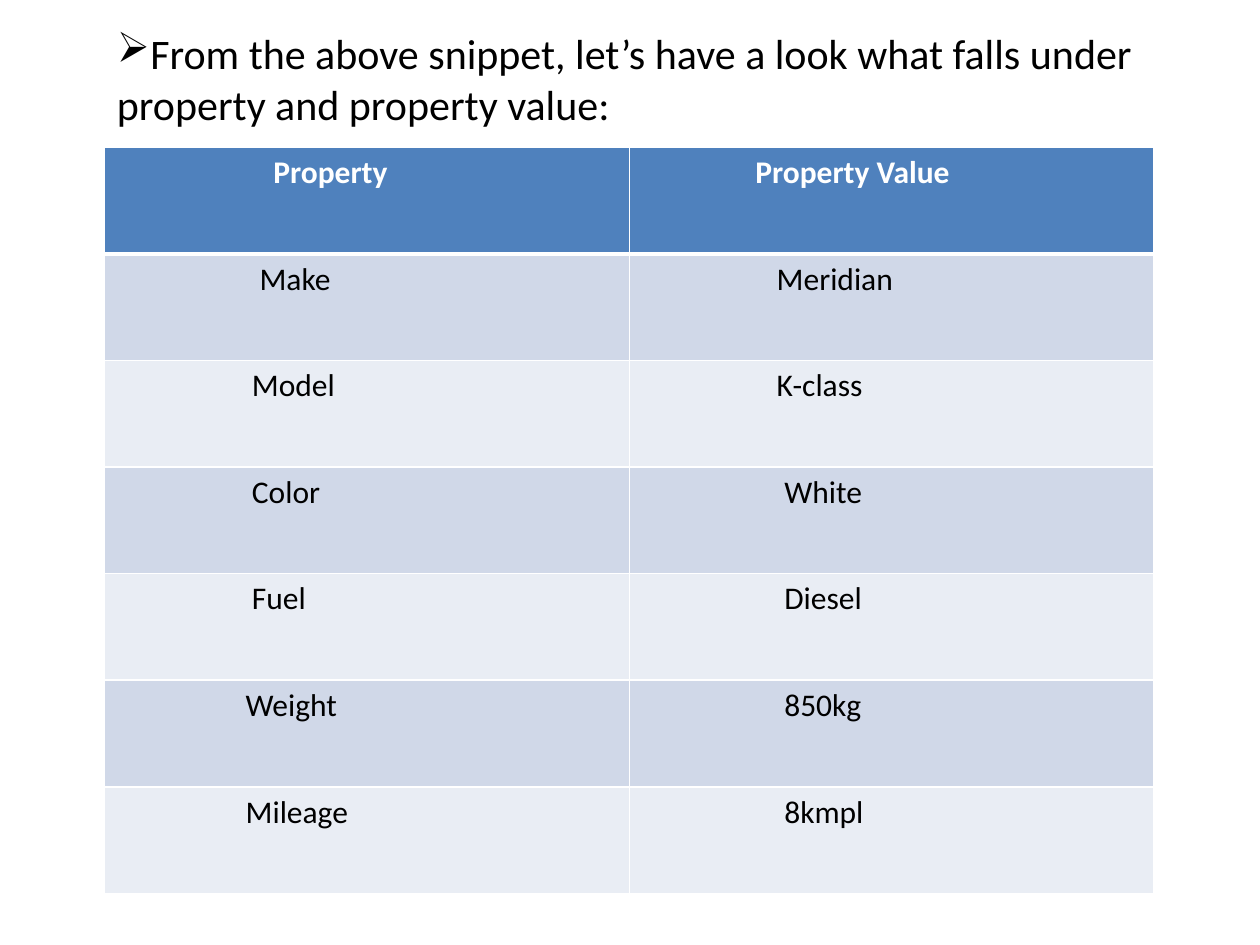
from lxml.etree import SubElement
from pptx import Presentation
from pptx.dml.color import RGBColor
from pptx.enum.text import MSO_AUTO_SIZE as AutoSize
from pptx.oxml.ns import qn
from pptx.util import Inches, Pt


def style_font(font, size, color, bold=False):
    font.name = "Calibri"
    font.size = Pt(size)
    font.bold = bold
    font.color.rgb = RGBColor.from_string(color)


def add_border(cell, side, width):
    line = SubElement(cell._tc.get_or_add_tcPr(), qn(f"a:{side}"), w=str(Pt(width)))
    fill = SubElement(line, qn("a:solidFill"))
    SubElement(fill, qn("a:srgbClr"), val="FFFFFF")


prs = Presentation()
prs.slide_width = Inches(10)
prs.slide_height = Inches(7.5)
slide = prs.slides.add_slide(prs.slide_layouts[6])

rows = [
    (("Property", 1.34), ("Property Value", 1.0)),
    (("Make", 1.23), ("Meridian", 1.17)),
    (("Model", 1.17), ("K-class", 1.17)),
    (("Color", 1.17), ("White", 1.23)),
    (("Fuel", 1.17), ("Diesel", 1.23)),
    (("Weight", 1.12), ("850kg", 1.23)),
    (("Mileage", 1.12), ("8kmpl", 1.23)),
]
properties = slide.shapes.add_table(
    len(rows), 2, Inches(0.83), Inches(1.17), Inches(8.33), Inches(5.92)
).table

for r, row in enumerate(rows):
    header = r == 0
    background = "4F81BD" if header else ("E9EDF4", "D0D8E8")[r % 2]
    for c, (label, indent) in enumerate(row):
        cell = properties.cell(r, c)
        cell.text = label
        cell.margin_left = Inches(indent)
        style_font(cell.text_frame.paragraphs[0].font, 18,
                   "FFFFFF" if header else "000000", header)
        add_border(cell, "lnL", 1)
        add_border(cell, "lnR", 1)
        add_border(cell, "lnT", 3 if r == 1 else 1)
        add_border(cell, "lnB", 3 if header else 1)
        cell.fill.solid()
        cell.fill.fore_color.rgb = RGBColor.from_string(background)

intro = slide.shapes.add_textbox(
    Inches(0.83), Inches(0.17), Inches(8.92), Inches(0.91)
).text_frame
intro.word_wrap = True
intro.auto_size = AutoSize.SHAPE_TO_FIT_TEXT
sentence = intro.paragraphs[0]
sentence.text = ("From the above snippet, let’s have a look what falls under "
                 "property and property value:")
style_font(sentence.font, 24, "000000")
bullet = sentence._p.get_or_add_pPr().makeelement(qn("a:buChar"), {"char": "➢"})
sentence._p.get_or_add_pPr().insert(0, bullet)

prs.save("out.pptx")
